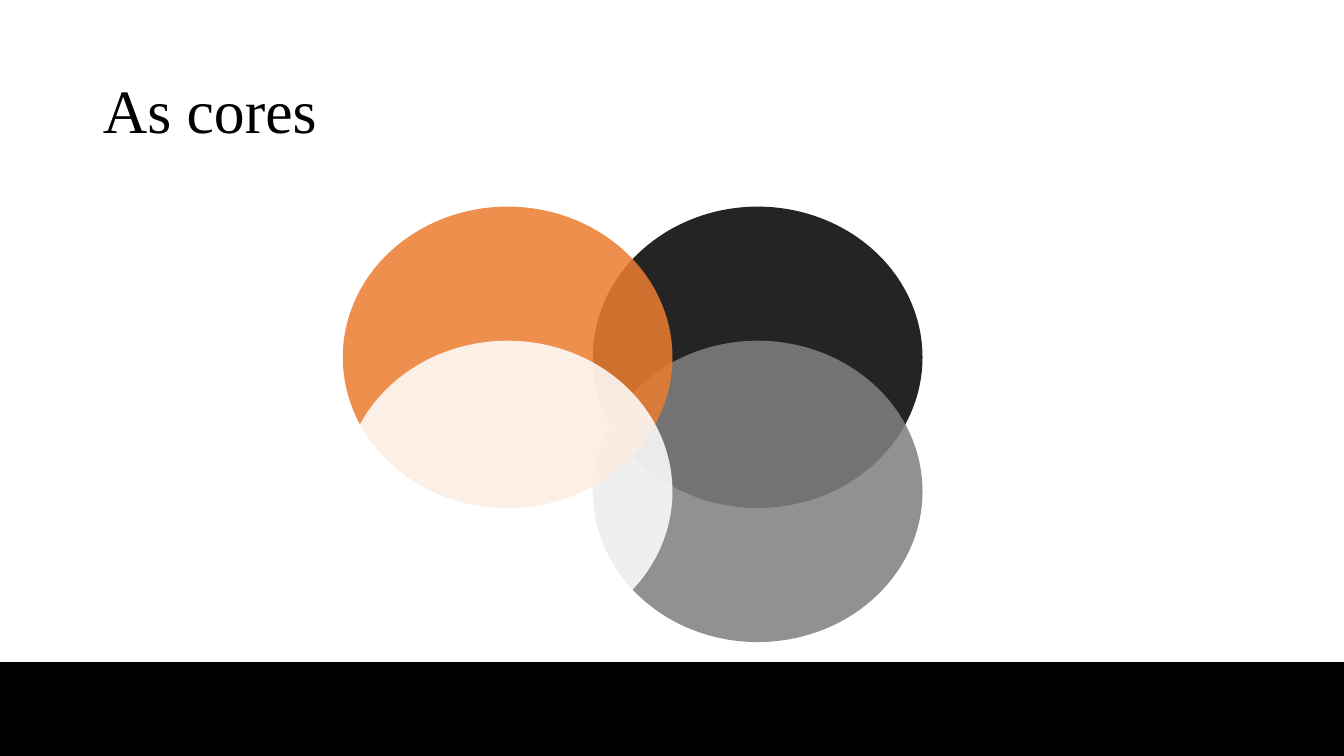
from lxml.etree import SubElement
from pptx import Presentation
from pptx.dml.color import RGBColor
from pptx.enum.shapes import MSO_SHAPE as SHAPE
from pptx.enum.text import MSO_ANCHOR as ANCHOR, PP_ALIGN as ALIGN
from pptx.oxml.ns import qn
from pptx.util import Inches, Pt

BLACK = RGBColor(0x00, 0x00, 0x00)
GRAY = RGBColor(0x80, 0x80, 0x80)
ORANGE = RGBColor(0xED, 0x7D, 0x31)
WHITE = RGBColor(0xFF, 0xFF, 0xFF)

TITLE = "As cores"
# Colour, column and row of each circle, from back to front
CIRCLES = [(BLACK, 1, 0), (GRAY, 1, 1), (ORANGE, 0, 0), (WHITE, 0, 1)]
CIRCLE_W, CIRCLE_H = 3.27, 2.99
LEFT, TOP = 3.4, 2.05
STEP_X, STEP_Y = 2.48, 1.33
OPACITY = 86
SLIDE_W, SLIDE_H = 13.33, 7.5
BAND_H = 0.93


def write_text(tf, text, *, font, size, color, anchor, spacing):
    tf.word_wrap = True
    tf.vertical_anchor = anchor
    p = tf.paragraphs[0]
    p.alignment = ALIGN.LEFT
    p.line_spacing = spacing
    r = p.add_run()
    r.text = text
    r.font.name = font
    r.font.size = Pt(size)
    r.font.color.rgb = color


def add_filled(s, kind, box, color, opacity=100):
    sp = s.shapes.add_shape(kind, *map(Inches, box))
    sp.shadow.inherit = False
    sp.line.fill.background()
    sp.fill.solid()
    sp.fill.fore_color.rgb = color
    if opacity < 100:
        clr = sp.fill._xPr.find(qn("a:solidFill")).find(qn("a:srgbClr"))
        SubElement(clr, qn("a:alpha")).set("val", str(opacity * 1000))
    return sp


prs = Presentation()
prs.slide_width, prs.slide_height = Inches(SLIDE_W), Inches(SLIDE_H)
s = prs.slides.add_slide(prs.slide_layouts[5])

# Title
title = s.shapes.title
title.left, title.top = Inches(0.92), Inches(0.4)
title.width, title.height = Inches(11.5), Inches(1.45)
write_text(title.text_frame, TITLE, font="Times New Roman", size=44,
           color=BLACK, anchor=ANCHOR.MIDDLE, spacing=0.9)

# Bottom band
add_filled(s, SHAPE.RECTANGLE, (0, SLIDE_H - BAND_H, SLIDE_W, BAND_H), BLACK)

# Overlapping colour circles
for color, col, row in CIRCLES:
    box = (LEFT + col * STEP_X, TOP + row * STEP_Y, CIRCLE_W, CIRCLE_H)
    add_filled(s, SHAPE.OVAL, box, color, OPACITY)

prs.save("out.pptx")
